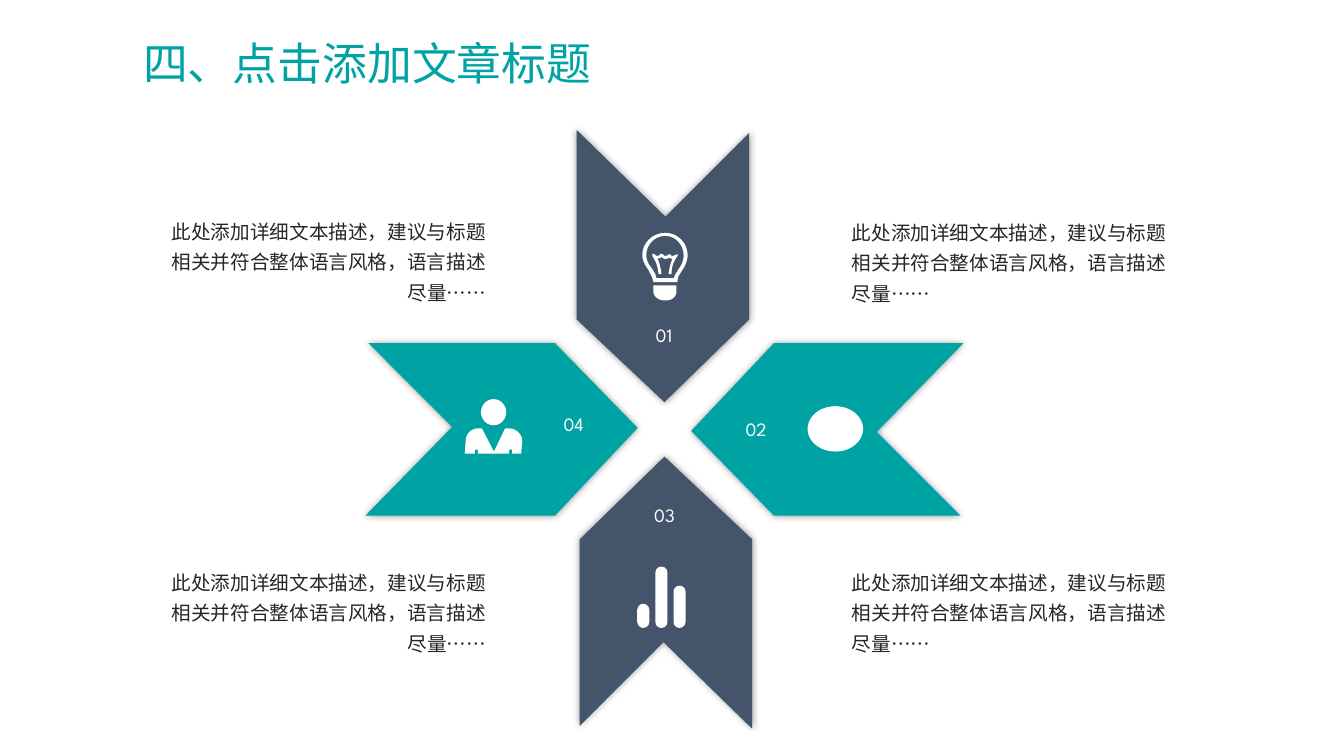
from lxml import etree
from pptx import Presentation
from pptx.dml.color import RGBColor
from pptx.enum.shapes import MSO_SHAPE
from pptx.enum.text import MSO_ANCHOR, MSO_AUTO_SIZE, PP_ALIGN
from pptx.oxml.ns import qn
from pptx.util import Inches, Pt

TEAL = RGBColor(0x00, 0xA3, 0xA4)
SLATE = RGBColor(0x44, 0x54, 0x6A)
WHITE = RGBColor(0xFF, 0xFF, 0xFF)
INK = RGBColor(0x26, 0x26, 0x26)
FONT = "League Spartan"
LEFT, CENTER, RIGHT = PP_ALIGN.LEFT, PP_ALIGN.CENTER, PP_ALIGN.RIGHT
OVAL, ROUNDED = MSO_SHAPE.OVAL, MSO_SHAPE.ROUNDED_RECTANGLE
TITLE_ONLY = 5
CURVE_STEPS = 8

# Content
TITLE = "四、点击添加文章标题"
DESCRIPTION = "此处添加详细文本描述，建议与标题相关并符合整体语言风格，语言描述尽量……"
DESCRIPTION_BOXES = [  # left, top, width, alignment
    (8.35, 2.07, 3.4, LEFT), (1.56, 2.06, 3.36, RIGHT),
    (8.35, 5.54, 3.4, LEFT), (1.56, 5.54, 3.36, RIGHT),
]
# Arrow left and top before turning, colour; each is turned 90 degrees more
ARROWS = [(5.72, 1.29, SLATE), (7.35, 2.91, TEAL), (5.75, 4.53, SLATE), (4.12, 2.91, TEAL)]
NUMBERS = [("01", 6.18, 3.16, 0.81), ("02", 6.93, 4.09, 1.14),
           ("03", 6.02, 4.95, 1.14), ("04", 5.12, 4.04, 1.14)]

# Outlines: pairs are corners, sextuples are Bezier curves
ARROW = [(0.87, 2.7), (0, 1.88), (0, 0), (0.88, 0.86), (1.71, 0.03), (1.71, 1.88)]
PERSON_BODY = [
    (4.71, 4.5), (4.71, 4.46), (4.74, 4.46), (4.74, 4.5), (5.05, 4.5), (5.05, 4.46),
    (5.08, 4.46), (5.08, 4.5), (5.17, 4.5), (5.18, 4.37), (5.18, 4.31, 5.12, 4.25, 5.05, 4.25),
    (5.01, 4.25), (4.9, 4.48), (4.78, 4.25), (4.74, 4.25),
    (4.67, 4.25, 4.62, 4.31, 4.62, 4.37), (4.61, 4.5),
]
BULB_OUTER = [
    (6.71, 2.8), (6.48, 2.8), (6.48, 2.79), (6.47, 2.77, 6.47, 2.74, 6.46, 2.74),
    (6.46, 2.72, 6.44, 2.71, 6.44, 2.69), (6.41, 2.65, 6.37, 2.59, 6.37, 2.53),
    (6.37, 2.41, 6.47, 2.31, 6.6, 2.31), (6.72, 2.31, 6.82, 2.41, 6.82, 2.53),
    (6.82, 2.59, 6.79, 2.65, 6.76, 2.69), (6.75, 2.71, 6.74, 2.72, 6.73, 2.74),
    (6.73, 2.74, 6.72, 2.77, 6.72, 2.79),
]
BULB_INNER = [
    (6.51, 2.76), (6.68, 2.76), (6.69, 2.75, 6.69, 2.73, 6.7, 2.72),
    (6.71, 2.7, 6.72, 2.69, 6.73, 2.67), (6.76, 2.63, 6.78, 2.59, 6.78, 2.53),
    (6.78, 2.43, 6.7, 2.34, 6.6, 2.34), (6.49, 2.34, 6.41, 2.43, 6.41, 2.53),
    (6.41, 2.59, 6.44, 2.63, 6.47, 2.67), (6.48, 2.69, 6.49, 2.7, 6.5, 2.72),
    (6.5, 2.73, 6.51, 2.75, 6.51, 2.76),
]
BULB_CAP = [
    (6.48, 2.83), (6.48, 2.89), (6.48, 2.94, 6.53, 2.98, 6.59, 2.98), (6.61, 2.98),
    (6.67, 2.98, 6.71, 2.94, 6.71, 2.89), (6.71, 2.83),
]
FILAMENT = [
    (6.72, 2.54), (6.68, 2.59, 6.66, 2.65, 6.66, 2.72), (6.63, 2.72),
    (6.64, 2.66, 6.65, 2.61, 6.67, 2.57), (6.66, 2.57, 6.65, 2.56, 6.64, 2.56),
    (6.63, 2.56, 6.61, 2.57, 6.6, 2.57), (6.59, 2.57, 6.57, 2.56, 6.56, 2.55),
    (6.55, 2.56, 6.53, 2.57, 6.52, 2.56), (6.55, 2.63, 6.56, 2.7, 6.56, 2.72),
    (6.53, 2.72), (6.53, 2.69, 6.52, 2.61, 6.47, 2.54), (6.47, 2.52),
    (6.48, 2.52, 6.49, 2.52, 6.5, 2.53), (6.5, 2.53, 6.51, 2.54, 6.52, 2.54),
    (6.53, 2.54, 6.54, 2.53, 6.55, 2.52), (6.57, 2.52),
    (6.58, 2.53, 6.59, 2.54, 6.6, 2.54), (6.61, 2.54, 6.62, 2.53, 6.63, 2.53),
    (6.64, 2.52), (6.65, 2.53, 6.66, 2.54, 6.67, 2.54),
    (6.68, 2.54, 6.69, 2.53, 6.7, 2.53), (6.72, 2.52),
]
BAR_HEIGHTS = [0.24, 0.61, 0.42]
BAR_LEFT, BAR_BASE, BAR_WIDTH, BAR_STEP = 6.32, 6.23, 0.12, 0.18


def flatten(outline):
    """Turn corners and curves into plain points in EMU."""
    points = []
    for part in outline:
        if len(part) == 2:
            points.append(part)
            continue
        x0, y0 = points[-1]
        x1, y1, x2, y2, x3, y3 = part
        for step in range(1, CURVE_STEPS + 1):
            t = step / CURVE_STEPS
            a, b, c, d = (1 - t) ** 3, 3 * t * (1 - t) ** 2, 3 * t * t * (1 - t), t ** 3
            points.append((a * x0 + b * x1 + c * x2 + d * x3,
                           a * y0 + b * y1 + c * y2 + d * y3))
    return [(Inches(x), Inches(y)) for x, y in points]


def paint(shape, color):
    shape.shadow.inherit = False
    shape.fill.solid()
    shape.fill.fore_color.rgb = color
    shape.line.fill.background()
    return shape


def add_outline(page, color, *outlines):
    first, *others = [flatten(outline) for outline in outlines]
    builder = page.shapes.build_freeform(*first[0], scale=1.0)
    builder.add_line_segments(first[1:], close=True)
    for points in others:
        builder.move_to(*points[0])
        builder.add_line_segments(points[1:], close=True)
    return paint(builder.convert_to_shape(), color)


def add_preset(page, kind, left, top, width, height):
    shape = page.shapes.add_shape(kind, Inches(left), Inches(top), Inches(width), Inches(height))
    return paint(shape, WHITE)


def add_glow_shadow(shape):
    effects = shape._element.spPr.find(qn("a:effectLst"))
    shadow = etree.SubElement(effects, qn("a:outerShdw"), blurRad=str(Pt(5)), dist="0",
                              algn="ctr", rotWithShape="0")
    black = etree.SubElement(shadow, qn("a:srgbClr"), val="000000")
    etree.SubElement(black, qn("a:alpha"), val="40000")


def write(box, text, size, color, align, wrap=True, spacing=1.0):
    frame = box.text_frame
    frame.text = text
    frame.word_wrap = wrap
    frame.auto_size = MSO_AUTO_SIZE.SHAPE_TO_FIT_TEXT
    frame.vertical_anchor = MSO_ANCHOR.TOP
    para = frame.paragraphs[0]
    para.alignment = align
    para.line_spacing = spacing
    para.font.name = FONT
    para.font.size = Pt(size)
    para.font.color.rgb = color


def add_text(page, left, top, width, height, *style, **options):
    box = page.shapes.add_textbox(Inches(left), Inches(top), Inches(width), Inches(height))
    write(box, *style, **options)


deck = Presentation()
deck.slide_width, deck.slide_height = Inches(13.33), Inches(7.5)
page = deck.slides.add_slide(deck.slide_layouts[TITLE_ONLY])

# Title
title = page.shapes.title
title.left, title.top, title.width, title.height = map(Inches, (1.32, 0.3, 4.69, 0.64))
write(title, TITLE, 32, TEAL, LEFT, wrap=False)

# Four arrows pointing to the centre
for turn, (left, top, color) in enumerate(ARROWS):
    arrow = add_outline(page, color, [(left + x, top + y) for x, y in ARROW])
    arrow.rotation = 90 * turn
    add_glow_shadow(arrow)

# Bar icon
for column, height in enumerate(BAR_HEIGHTS):
    bar = add_preset(page, ROUNDED, BAR_LEFT + column * BAR_STEP, BAR_BASE - height,
                     BAR_WIDTH, height)
    bar.adjustments[0] = 0.5

# Plain icon on the right arrow
add_preset(page, OVAL, 8.01, 4.03, 0.55, 0.45)

# Person icon
add_preset(page, OVAL, 4.77, 3.96, 0.25, 0.26)
add_outline(page, WHITE, PERSON_BODY)

# Light bulb icon
add_outline(page, WHITE, BULB_OUTER, BULB_INNER)
add_outline(page, WHITE, BULB_CAP)
add_outline(page, WHITE, FILAMENT)

# Numbers and descriptions
for number, left, top, width in NUMBERS:
    add_text(page, left, top, width, 0.33, number, 13.5, WHITE, CENTER)
for left, top, width, align in DESCRIPTION_BOXES:
    add_text(page, left, top, width, 1.02, DESCRIPTION, 14, INK, align, spacing=1.3)

deck.save("out.pptx")
